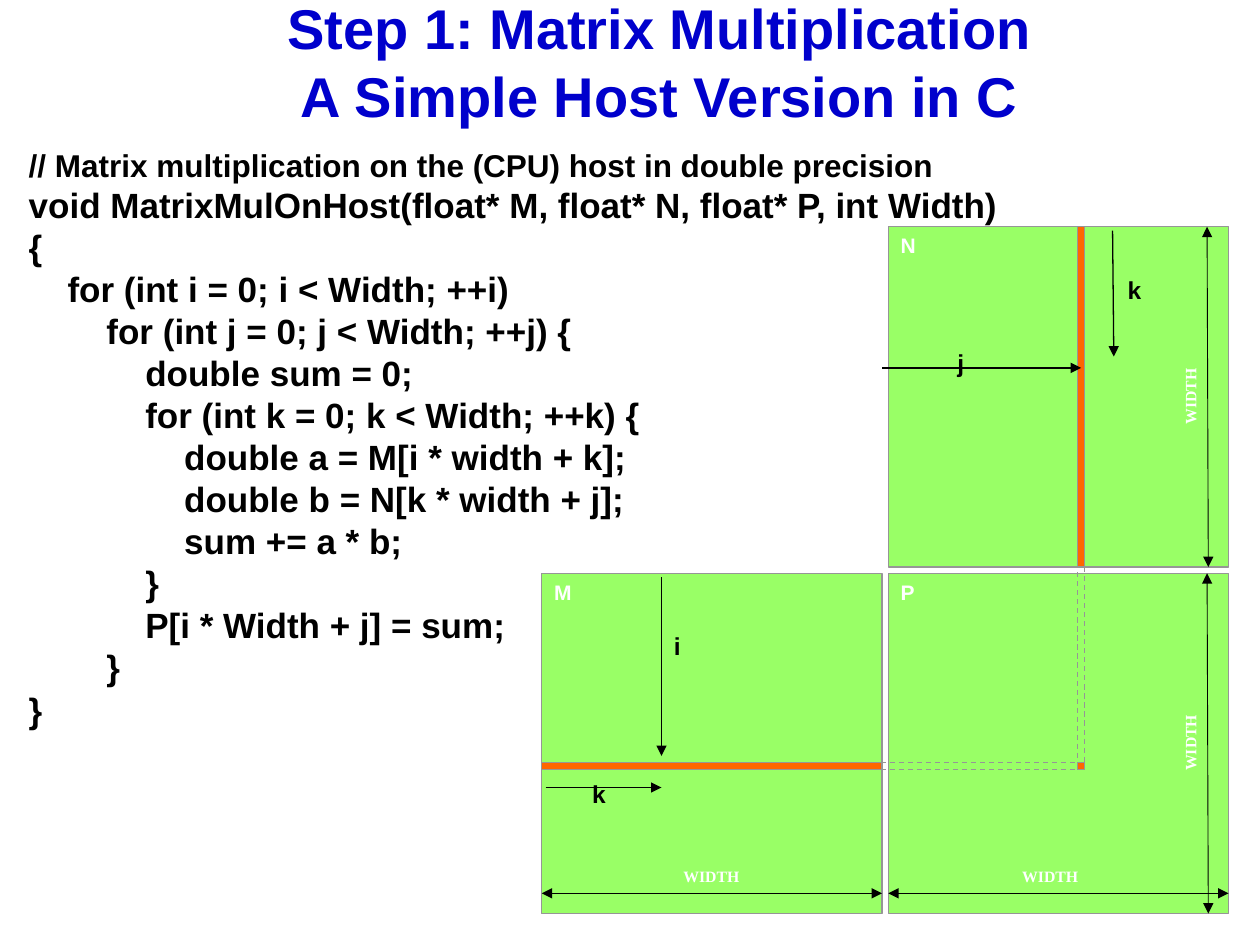
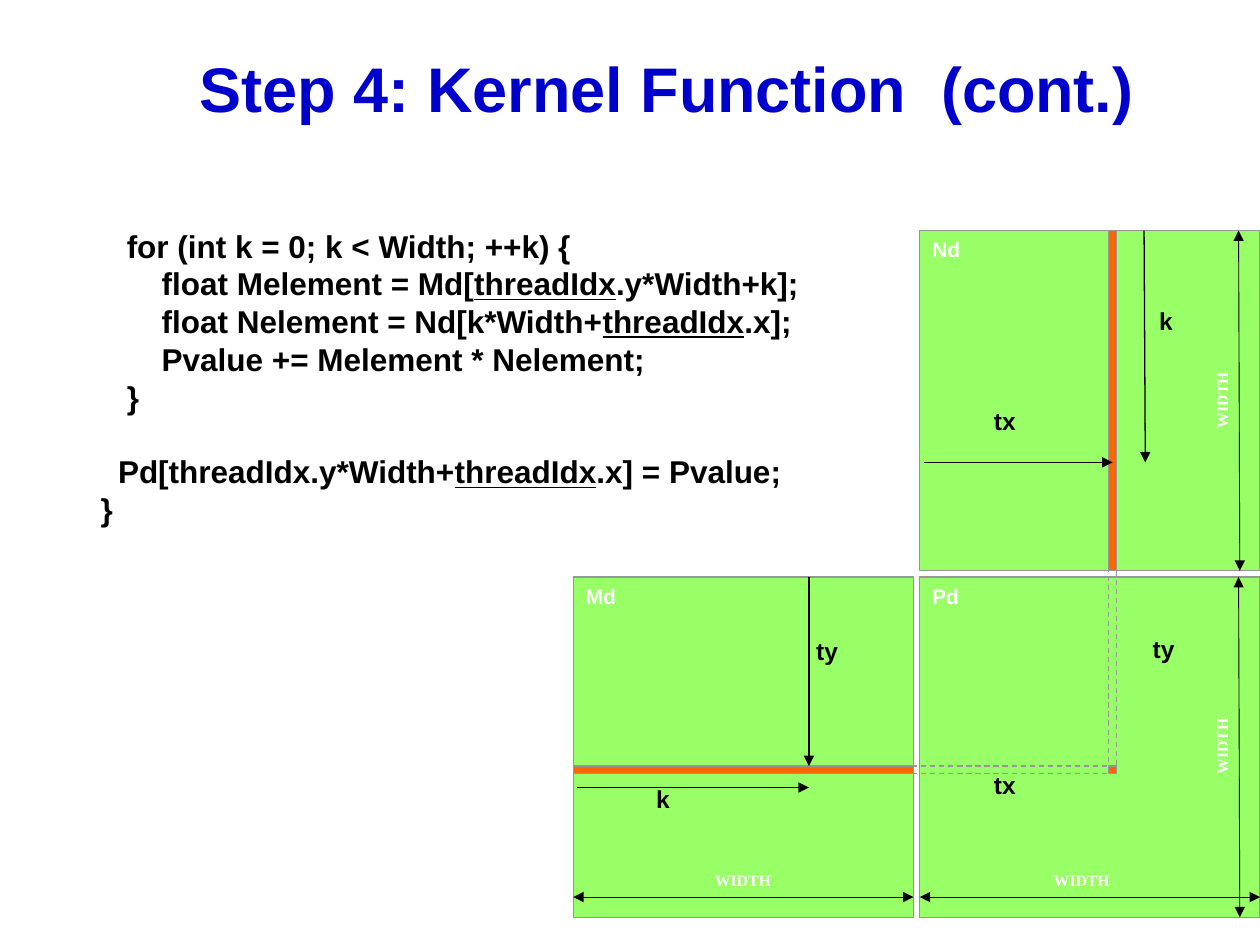
from lxml.etree import SubElement
from pptx import Presentation
from pptx.dml.color import RGBColor
from pptx.enum.dml import MSO_LINE
from pptx.enum.shapes import MSO_CONNECTOR, MSO_SHAPE
from pptx.enum.text import MSO_ANCHOR as ANCHOR, MSO_AUTO_SIZE as AUTO, PP_ALIGN as ALIGN
from pptx.oxml.ns import qn
from pptx.util import Pt

PX = 9144
BLUE, GREEN, ORANGE = "0000CC", "99FF66", "FF6600"
GRAY, BLACK, WHITE = "969696", "000000", "FFFFFF"
LEADING = 1.2
SIDE, STEP, BAND = 270, 275, 6
COL, ROW = 425, 425


def emu(*lengths):
    return [n * PX for n in lengths]


def rgb(color):
    return RGBColor.from_string(color)


def apply(target, values):
    for name, value in values.items():
        setattr(target, name, value)


class Deck:
    def __init__(self):
        self.prs = Presentation()
        self.prs.slide_width, self.prs.slide_height = emu(1000, 750)
        self.s = None

    def slide(self, title, box, size):
        self.s = self.prs.slides.add_slide(self.prs.slide_layouts[5])
        sp = self.s.shapes.title
        self.place(sp, box)
        self.frame(sp.text_frame, vertical_anchor=ANCHOR.MIDDLE)
        p = sp.text_frame.paragraphs[0]
        p.text = title
        p.alignment = ALIGN.CENTER
        p.line_spacing = Pt(size * LEADING)
        for r in p.runs:
            self.style(r, size, BLUE)

    def place(self, sp, box):
        apply(sp, dict(zip(("left", "top", "width", "height"), emu(*box))))

    def frame(self, tf, inset=(10, 5), **values):
        x, y = emu(*inset)
        apply(tf, {"margin_left": x, "margin_right": x, "margin_top": y,
                   "margin_bottom": y, "word_wrap": True,
                   "auto_size": AUTO.NONE, **values})

    def style(self, r, size, color, name="Arial", underline=None):
        apply(r.font, {"size": Pt(size), "name": name, "bold": True,
                       "underline": underline})
        r.font.color.rgb = rgb(color)

    def rect(self, box, fill, text=None):
        sp = self.s.shapes.add_shape(MSO_SHAPE.RECTANGLE, *emu(*box))
        sp.shadow.inherit = False
        sp.fill.solid()
        sp.fill.fore_color.rgb = rgb(fill)
        sp.line.color.rgb = rgb(GRAY)
        sp.line.width = Pt(0.75)
        if text:
            self.frame(sp.text_frame, vertical_anchor=ANCHOR.TOP)
            p = sp.text_frame.paragraphs[0]
            p.alignment = ALIGN.LEFT
            r = p.add_run()
            r.text = text
            self.style(r, 12, WHITE)

    def line(self, points, color=BLACK, width=0.75, dash=None, ends=("tailEnd",)):
        c = self.s.shapes.add_connector(MSO_CONNECTOR.STRAIGHT, *emu(*points))
        c.line.color.rgb = rgb(color)
        apply(c.line, {"width": Pt(width), "dash_style": dash})
        ln = c.line._get_or_add_ln()
        for end in ends:
            SubElement(ln, qn(f"a:{end}"), type="triangle")
        SubElement(c._element.spPr, qn("a:effectLst"))

    def label(self, text, box, size=14, color=BLACK, name="Arial",
              inset=(10, 5), align=ALIGN.LEFT, rotation=0):
        sp = self.s.shapes.add_textbox(*emu(*box))
        sp.rotation = rotation
        self.frame(sp.text_frame, inset, word_wrap=False,
                   auto_size=AUTO.SHAPE_TO_FIT_TEXT)
        p = sp.text_frame.paragraphs[0]
        p.alignment = align
        r = p.add_run()
        r.text = text
        self.style(r, size, color, name)

    def code(self, box, lines):
        tf = self.s.shapes.add_textbox(*emu(*box)).text_frame
        self.frame(tf)
        for i, (text, size, before) in enumerate(lines):
            p = tf.add_paragraph() if i else tf.paragraphs[0]
            p.line_spacing = Pt(size * LEADING)
            if before:
                p.space_before = Pt(before)
            for j, part in enumerate(text.split("~")):
                r = p.add_run()
                r.text = part
                self.style(r, size, BLACK, underline=True if j % 2 else None)

    def matrices(self, x, y, m, n, product):
        for name, dx, dy in ((m, 0, STEP), (n, STEP, 0), (product, STEP, STEP)):
            self.rect((x + dx, y + dy, SIDE, SIDE), GREEN, name)
        for dx, dy, w, h in ((COL, 0, BAND, SIDE), (0, ROW, SIDE, BAND),
                             (COL, ROW, BAND, BAND)):
            self.rect((x + dx, y + dy, w, h), ORANGE)
        for x1, y1, x2, y2 in ((COL + BAND, 270, COL + BAND, ROW),
                               (COL, 267, COL, ROW - 3),
                               (269, ROW, COL - 1, ROW),
                               (269, ROW + BAND, COL - 1, ROW + BAND)):
            self.line((x + x1, y + y1, x + x2, y + y2), GRAY,
                      dash=MSO_LINE.DASH, ends=())
        for start in (0, STEP):
            for x1, y1, x2, y2 in ((start + SIDE, 529, start, 529),
                                   (529, start + SIDE, 528, start)):
                self.line((x + x1, y + y1, x + x2, y + y2), width=0.5,
                          ends=("headEnd", "tailEnd"))
        for dx, dy, rotation in ((492, 127, 270), (492, 402, 270),
                                 (112, 508, 0), (381, 508, 0)):
            self.label("WIDTH", (x + dx, y + dy, 45, 15), 9, WHITE,
                       "Times New Roman", (0, 0), ALIGN.CENTER, rotation)

    def indices(self, arrows, labels):
        for points in arrows:
            self.line(points)
        for text, x, y, w in labels:
            self.label(text, (x, y, w, 34))


HOST_CODE = """void MatrixMulOnHost(float* M, float* N, float* P, int Width)
{
    for (int i = 0; i < Width; ++i)
        for (int j = 0; j < Width; ++j) {
            double sum = 0;
            for (int k = 0; k < Width; ++k) {
                double a = M[i * width + k];
                double b = N[k * width + j];
                sum += a * b;
            }
            P[i * Width + j] = sum;
        }
}"""

KERNEL_LOOP = """   for (int k = 0; k < Width; ++k) {
       float Melement = Md[~threadIdx~.y*Width+k];
       float Nelement = Nd[k*Width+~threadIdx~.x];
       Pvalue += Melement * Nelement;
   }"""


def host_slide(deck):
    deck.slide("Step 1: Matrix Multiplication\nA Simple Host Version in C",
               (92, -3, 863, 103), 32)
    deck.matrices(430, 180, "M", "N", "P")
    comment = "// Matrix multiplication on the (CPU) host in double precision"
    deck.code((13, 111, 846, 507),
              [(comment, 18, 0)] + [(t, 20, 0) for t in HOST_CODE.split("\n")])
    deck.indices(((525, 458, 525, 600), (433, 625, 525, 625),
                  (883, 183, 884, 283), (700, 292, 858, 292)),
                 (("i", 525, 496, 25), ("k", 460, 613, 31),
                  ("k", 885, 213, 31), ("j", 750, 271, 25)))


def kernel_slide(deck):
    deck.slide("Step 4: Kernel Function  (cont.)", (75, 25, 909, 89), 36)
    deck.matrices(455, 183, "Md", "Nd", "Pd")
    store = "  Pd[threadIdx.y*Width+~threadIdx~.x] = Pvalue;"
    deck.code((70, 175, 893, 280),
              [(t, 18, 0) for t in KERNEL_LOOP.split("\n")]
              + [(store, 18, 21), ("}", 18, 0)])
    deck.indices(((642, 458, 642, 608), (733, 367, 883, 367),
                  (458, 625, 642, 625), (908, 183, 909, 367)),
                 (("ty", 905, 498, 37), ("tx", 779, 606, 37),
                  ("ty", 638, 500, 37), ("tx", 779, 317, 37),
                  ("k", 511, 617, 31), ("k", 910, 238, 31)))


def main():
    deck = Deck()
    host_slide(deck)
    kernel_slide(deck)
    deck.prs.save("out.pptx")


if __name__ == "__main__":
    main()
